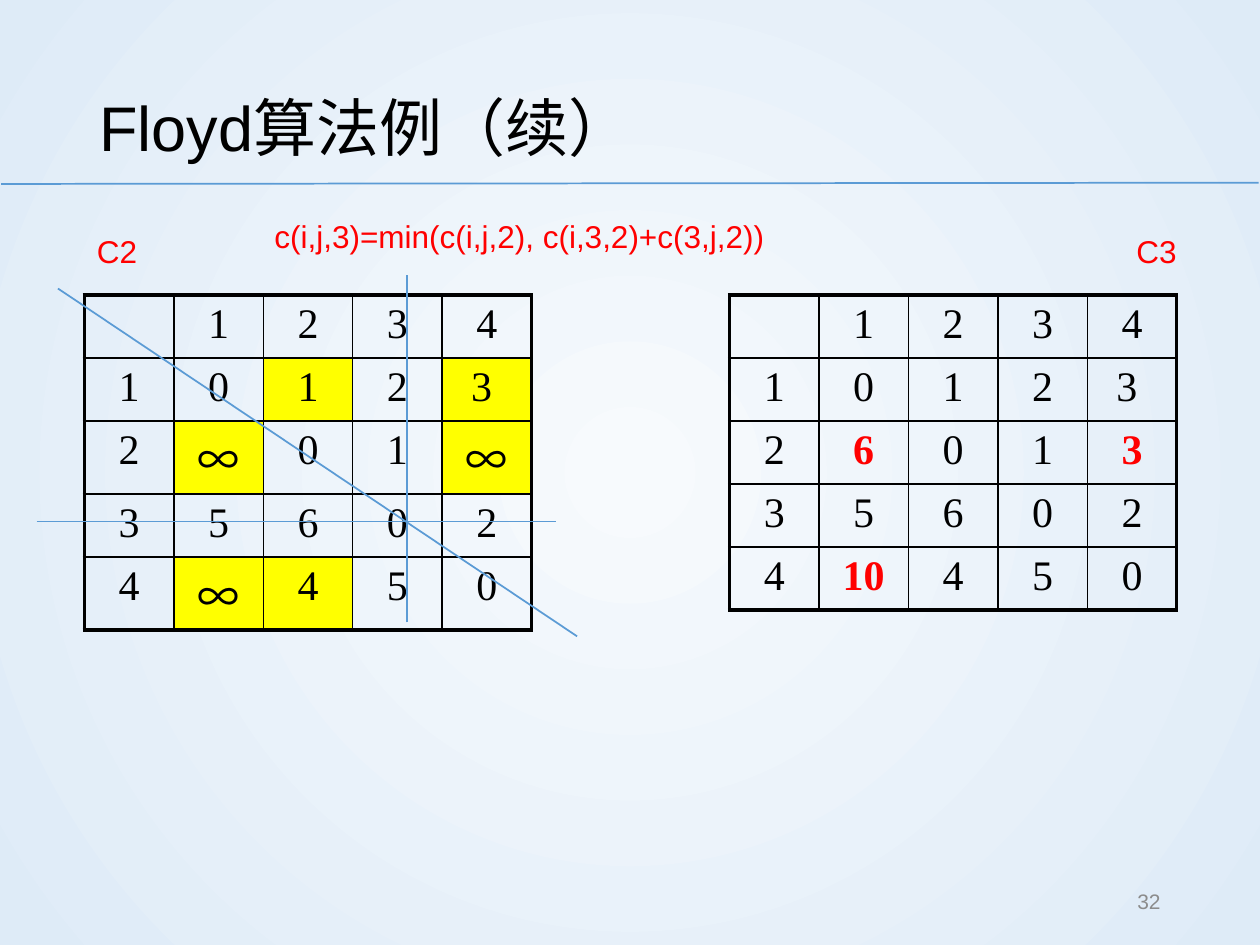
from lxml.etree import SubElement
from pptx import Presentation
from pptx.dml.color import RGBColor as RGB
from pptx.enum.shapes import MSO_CONNECTOR as LINK
from pptx.enum.text import MSO_ANCHOR as ANCHOR, PP_ALIGN as ALIGN
from pptx.oxml.ns import qn
from pptx.util import Inches, Pt

BLACK = RGB(0x00, 0x00, 0x00)
RED = RGB(0xFF, 0x00, 0x00)
YELLOW = RGB(0xFF, 0xFF, 0x00)
BLUE = RGB(0x5B, 0x9B, 0xD5)
GRAY = RGB(0x8C, 0x8C, 0x8C)
GLOW = [RGB(0xF7, 0xFA, 0xFD), RGB(0xDE, 0xEB, 0xF7)]
SANS, SERIF, CJK = "Arial", "Times New Roman", "Noto Sans CJK SC"

# text, box (left, top, width, height), size, colour, settings
TITLE = ("Floyd算法例（续）", (0.69, 0.4, 8.62, 1.08), 36, BLACK,
         dict(anchor=ANCHOR.MIDDLE, spacing=1.2))
LABELS = [
    ("C2", (0.67, 1.79, 0.75, 0.4), 18, RED, {}),
    ("c(i,j,3)=min(c(i,j,2), c(i,3,2)+c(3,j,2))",
     (2.08, 1.67, 7.58, 0.4), 18, RED, {}),
    ("C3", (8.92, 1.79, 0.75, 0.4), 18, RED, {}),
]
NUMBER = ("32", (7.06, 6.95, 2.25, 0.4), 12, GRAY,
          dict(anchor=ANCHOR.MIDDLE, align=ALIGN.RIGHT))

C2 = [
    ["", "1", "2", "3", "4"],
    ["1", "0", "1", "2", "3 "],
    ["2", "∞", "0", "1", "∞"],
    ["3", "5", "6", "0", "2"],
    ["4", "∞", "4", "5", "0"],
]
C3 = [
    ["", "1", "2", "3", "4"],
    ["1", "0", "1", "2", "3 "],
    ["2", "6", "0", "1", "3"],
    ["3", "5", "6", "0", "2"],
    ["4", "10", "4", "5", "0"],
]
MARKED = {(1, 2), (1, 4), (2, 1), (2, 4), (4, 1), (4, 2)}
CHANGED = {(2, 1), (2, 4), (4, 1)}
TABLE_TOP, CELL_W = 2.34, 0.71

RULE = (0.01, 1.46, 9.99, 1.45)
CROSS = [
    (0.46, 2.29, 4.58, 5.05),
    (0.29, 4.14, 4.41, 4.14),
    (3.23, 4.94, 3.23, 2.18),
]


def write(para, text, size, color, font, bold=False):
    run = para.add_run()
    run.text = text
    run.font.size, run.font.name, run.font.bold = Pt(size), font, bold
    run.font.color.rgb = color
    SubElement(run.font._element, qn("a:ea"), typeface=CJK)


def add_text(slide, text, box, size, color, opts):
    frame = slide.shapes.add_textbox(*map(Inches, box)).text_frame
    frame.word_wrap = True
    frame.vertical_anchor = opts.get("anchor", ANCHOR.TOP)
    para = frame.paragraphs[0]
    para.alignment = opts.get("align", ALIGN.LEFT)
    para.line_spacing = opts.get("spacing", 1.0)
    write(para, text, size, color, SANS)


def add_line(slide, ends):
    line = slide.shapes.add_connector(LINK.STRAIGHT, *map(Inches, ends))
    line.line.color.rgb, line.line.width = BLUE, Pt(1)
    SubElement(line._element.spPr, qn("a:effectLst"))


def set_borders(cell, outer):
    """Draw all four edges, thicker for the sides that lie on the table rim."""
    props = cell._tc.get_or_add_tcPr()
    for side in "LRTB":
        width = Pt(2.25 if side in outer else 1)
        edge = SubElement(props, qn("a:ln" + side), w=str(width))
        fill = SubElement(edge, qn("a:solidFill"))
        SubElement(fill, qn("a:srgbClr"), val=str(BLACK))


def add_matrix(slide, left, rows, heights, marked=(), changed=()):
    count = len(rows)
    box = (left, TABLE_TOP, CELL_W * count, sum(heights))
    table = slide.shapes.add_table(count, count, *map(Inches, box)).table
    for r, row in enumerate(rows):
        table.rows[r].height = Inches(heights[r])
        table.columns[r].width = Inches(CELL_W)
        for c, text in enumerate(row):
            cell = table.cell(r, c)
            rim = {"L": c == 0, "R": c == count - 1,
                   "T": r == 0, "B": r == count - 1}
            set_borders(cell, [side for side in rim if rim[side]])
            if (r, c) in marked:
                cell.fill.solid()
                cell.fill.fore_color.rgb = YELLOW
            else:
                cell.fill.background()
            if text:
                para = cell.text_frame.paragraphs[0]
                para.alignment = ALIGN.CENTER
                new = (r, c) in changed
                write(para, text, 24, RED if new else BLACK,
                      CJK if text == "∞" else SERIF, new)


def paint_back(slide):
    fill = slide.background.fill
    fill.gradient()
    for stop, color in zip(fill.gradient_stops, GLOW):
        stop.color.rgb = color
    grad = next(slide.element.iter(qn("a:gradFill")))
    grad.remove(grad.find(qn("a:lin")))
    ring = SubElement(grad, qn("a:path"), path="circle")
    SubElement(ring, qn("a:fillToRect"), dict.fromkeys("ltrb", "50000"))


def main():
    deck = Presentation()
    deck.slide_width, deck.slide_height = Inches(10), Inches(7.5)
    slide = deck.slides.add_slide(deck.slide_layouts[6])
    paint_back(slide)
    add_line(slide, RULE)
    add_text(slide, *TITLE)
    tall = [0.58 if "∞" in row else 0.47 for row in C2]
    add_matrix(slide, 0.67, C2, tall, marked=MARKED)
    add_matrix(slide, 5.79, C3, [0.5] * len(C3), changed=CHANGED)
    for label in LABELS:
        add_text(slide, *label)
    for ends in CROSS:
        add_line(slide, ends)
    add_text(slide, *NUMBER)
    deck.save("out.pptx")


if __name__ == "__main__":
    main()
